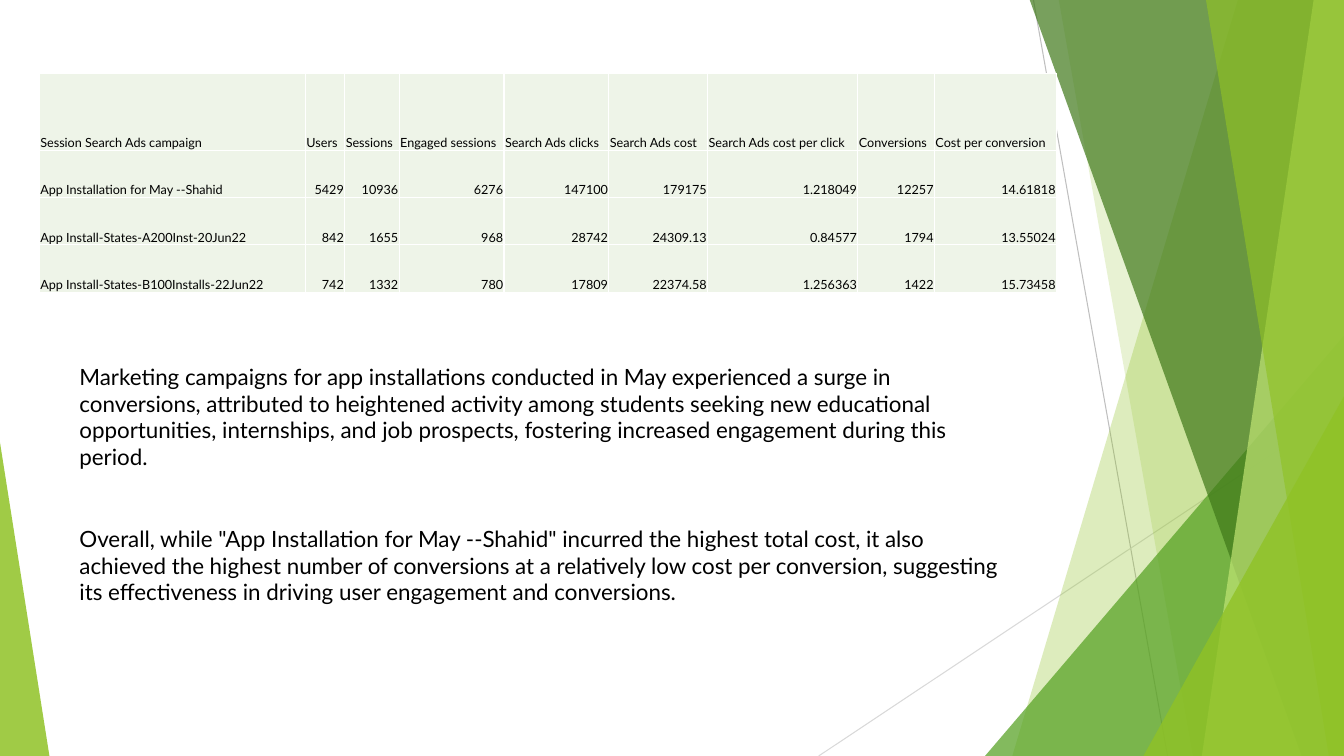
from lxml import etree
from pptx import Presentation
from pptx.dml.color import RGBColor
from pptx.enum.shapes import MSO_CONNECTOR, MSO_SHAPE
from pptx.enum.text import MSO_ANCHOR, PP_ALIGN
from pptx.oxml.ns import qn
from pptx.util import Inches, Pt

STRAIGHT = MSO_CONNECTOR.STRAIGHT
TRIANGLE = MSO_SHAPE.ISOSCELES_TRIANGLE
BOTTOM, TOP = MSO_ANCHOR.BOTTOM, MSO_ANCHOR.TOP
LEFT, RIGHT = PP_ALIGN.LEFT, PP_ALIGN.RIGHT
FONT = "Lato"
COLORS = {
    "green": "90C226", "mid": "54A021", "dark": "3F7819", "light": "C0E474",
    "gray": "BFBFBF", "pale gray": "D9D9D9", "cell": "EEF4E8",
    "white": "FFFFFF", "text": "000000",
}
WIDTH, HEIGHT = 13.33, 7.5

presentation = Presentation()
presentation.slide_width = Inches(WIDTH)
presentation.slide_height = Inches(HEIGHT)
slide = presentation.slides.add_slide(presentation.slide_layouts[6])
shapes = slide.shapes


def paint(shape, color, opacity):
    """Fill a shape with a translucent color, without outline or shadow."""
    shape.shadow.inherit = False
    shape.line.fill.background()
    shape.fill.solid()
    shape.fill.fore_color.rgb = RGBColor.from_string(COLORS[color])
    color_element = shape.fill._xPr.find(qn("a:solidFill"))[0]
    etree.SubElement(color_element, qn("a:alpha"), val=str(opacity * 1000))


def set_text_style(paragraph, size):
    paragraph.font.name = FONT
    paragraph.font.size = Pt(size)
    paragraph.font.color.rgb = RGBColor.from_string(COLORS["text"])


# Thin background lines
for x1, y1, x2, y2, color in [
    (10.25, 0, 11.58, HEIGHT, "gray"),
    (WIDTH, 4.03, 8.12, HEIGHT, "pale gray"),
]:
    line = shapes.add_connector(STRAIGHT, Inches(x1), Inches(y1), Inches(x2), Inches(y2))
    line.line.color.rgb = RGBColor.from_string(COLORS[color])
    line.line.width = Pt(0.75)
    etree.SubElement(line._element.spPr, qn("a:effectLst"))

# Green facets, back to front: bands by top and bottom left corner,
# triangles by left, top, width, height and apex position
facets = [
    ("band", (12.28, 10.04), "green", 30),
    ("band", (10.5, 11.83), "green", 20),
    ("triangle", (9.77, 3.33, 3.56, 4.17, 1), "mid", 72),
    ("band", (10.21, 12.91), "dark", 70),
    ("band", (13.03, 11.92), "light", 70),
    ("band", (11.96, 13.18), "green", 65),
    ("triangle", (11.34, 3.93, 1.99, 3.57, 1), "green", 80),
    ("triangle", (0, 4.39, 0.49, 3.11, 0), "green", 85),
]
for kind, geometry, color, opacity in facets:
    if kind == "band":
        top_x, bottom_x = geometry
        builder = shapes.build_freeform(Inches(top_x), Inches(-0.01))
        corners = [(WIDTH, -0.01), (WIDTH, HEIGHT), (bottom_x, HEIGHT)]
        builder.add_line_segments([(Inches(x), Inches(y)) for x, y in corners], close=True)
        facet = builder.convert_to_shape()
    else:
        *box, apex = geometry
        facet = shapes.add_shape(TRIANGLE, *[Inches(length) for length in box])
        facet.adjustments[0] = apex
    paint(facet, color, opacity)

# Commentary
commentary = [
    ("Marketing campaigns for app installations conducted in May experienced a surge in "
     "conversions, attributed to heightened activity among students seeking new educational "
     "opportunities, internships, and job prospects, fostering increased engagement during "
     "this period.", 10),
    ('Overall, while "App Installation for May --Shahid" incurred the highest total cost, it '
     "also achieved the highest number of conversions at a relatively low cost per conversion, "
     "suggesting its effectiveness in driving user engagement and conversions.", 39),
]
text_box = shapes.add_textbox(Inches(0.69), Inches(3.55), Inches(9.4), Inches(2.63))
text_frame = text_box.text_frame
text_frame.word_wrap = True
text_frame.vertical_anchor = TOP
for index, (text, space_before) in enumerate(commentary):
    paragraph = text_frame.add_paragraph() if index else text_frame.paragraphs[0]
    paragraph.text = text
    paragraph.space_before = Pt(space_before)
    set_text_style(paragraph, 16)

# Campaign table
campaign_rows = [
    ["Session Search Ads campaign", "Users", "Sessions", "Engaged sessions",
     "Search Ads clicks", "Search Ads cost", "Search Ads cost per click",
     "Conversions", "Cost per conversion"],
    ["App Installation for May --Shahid", "5429", "10936", "6276", "147100", "179175",
     "1.218049", "12257", "14.61818"],
    ["App Install-States-A200Inst-20Jun22", "842", "1655", "968", "28742", "24309.13",
     "0.84577", "1794", "13.55024"],
    ["App Install-States-B100Installs-22Jun22", "742", "1332", "780", "17809", "22374.58",
     "1.256363", "1422", "15.73458"],
]
column_widths = [2.64, 0.39, 0.54, 1.04, 1.04, 0.98, 1.49, 0.76, 1.21]
row_heights = [0.76, 0.47, 0.47, 0.47]
table = shapes.add_table(
    len(row_heights), len(column_widths), Inches(0.39), Inches(0.73),
    Inches(sum(column_widths)), Inches(sum(row_heights)),
).table
for column, width in zip(table.columns, column_widths):
    column.width = Inches(width)
for row, height in zip(table.rows, row_heights):
    row.height = Inches(height)

for row_index, values in enumerate(campaign_rows):
    for column_index, value in enumerate(values):
        cell = table.cell(row_index, column_index)
        cell.margin_left = cell.margin_right = cell.margin_top = Inches(0.01)
        cell.margin_bottom = 0
        cell.vertical_anchor = BOTTOM
        paragraph = cell.text_frame.paragraphs[0]
        paragraph.text = value
        paragraph.alignment = RIGHT if row_index and column_index else LEFT
        set_text_style(paragraph, 9)
        # Borders come before the fill in the cell properties
        properties = cell._tc.get_or_add_tcPr()
        for side in ("a:lnL", "a:lnR", "a:lnT", "a:lnB"):
            border = etree.SubElement(properties, qn(side), w=str(Pt(1)))
            border_fill = etree.SubElement(border, qn("a:solidFill"))
            etree.SubElement(border_fill, qn("a:srgbClr"), val=COLORS["white"])
        cell.fill.solid()
        cell.fill.fore_color.rgb = RGBColor.from_string(COLORS["cell"])

presentation.save("out.pptx")
